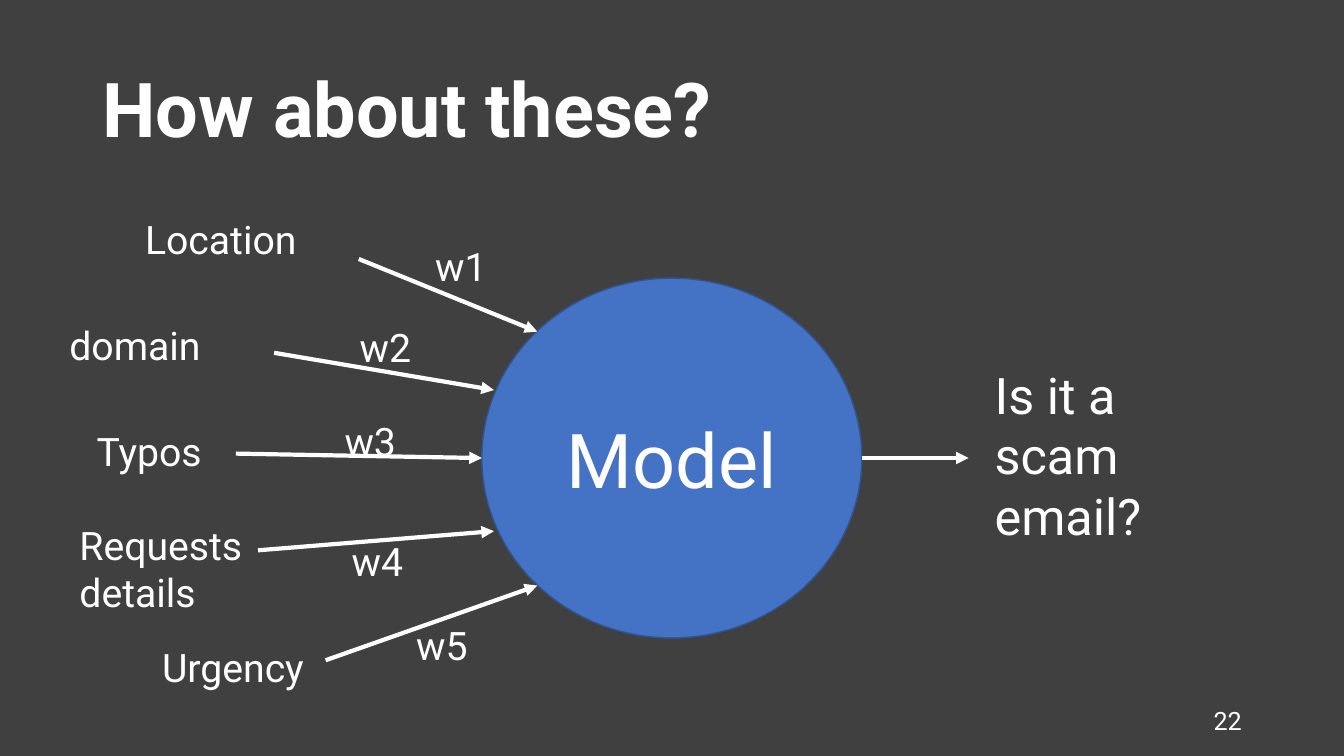
from dataclasses import dataclass

from lxml.etree import SubElement
from pptx import Presentation
from pptx.dml.color import RGBColor
from pptx.enum.shapes import MSO_CONNECTOR, MSO_SHAPE
from pptx.enum.text import MSO_ANCHOR, MSO_AUTO_SIZE, PP_ALIGN
from pptx.oxml.ns import qn
from pptx.util import Pt


@dataclass(frozen=True)
class Theme:
    font: str = "Roboto"
    background: RGBColor = RGBColor(0x40, 0x40, 0x40)
    ink: RGBColor = RGBColor(0xFF, 0xFF, 0xFF)
    model_fill: RGBColor = RGBColor(0x44, 0x72, 0xC4)
    model_line: RGBColor = RGBColor(0x32, 0x54, 0x91)
    heading: int = 54
    answer: int = 36
    label: int = 28
    footer: int = 18
    arrow_width: int = 3


theme = Theme()

TITLE = ("How about these?", (66.2, 28.8, 666.7, 104.4))
PAGE_NUMBER = ("22", (678.2, 500.4, 216, 28.8))
MODEL = ("Model", (344.2, 198.7, 271.4, 257))
ANSWER = ("Is it a scam email?", (703.4, 256.3, 146.9, 138.2))
LABEL_HEIGHT = 41
WEIGHT_WIDTH = 61.2
ARROW_OUT = 76.3

FEATURES = [
    {"name": "Location", "box": (96.5, 150.5, 172.1, LABEL_HEIGHT),
     "arrow": ((256.3, 185), (383.8, 236.9)), "weight_at": (303.8, 169.2)},
    {"name": "domain", "box": (42.5, 226.1, 172.1, LABEL_HEIGHT),
     "arrow": ((195.8, 252), (352.8, 278.6)), "weight_at": (249.8, 227.5)},
    {"name": "Typos", "box": (61.9, 301.7, 172.1, LABEL_HEIGHT),
     "arrow": ((168.5, 324), (344.2, 327.2)), "weight_at": (239, 294.5)},
    {"name": "Requests details", "box": (49.7, 368.6, 172.1, 74.9),
     "arrow": ((184.3, 393.1), (352.8, 379.4)), "weight_at": (244.1, 380.2)},
    {"name": "Urgency", "box": (108.7, 455.8, 126, LABEL_HEIGHT),
     "arrow": ((232.6, 471.6), (383.8, 418.3)), "weight_at": (290.2, 440.6)},
]


def write(shape, text, size, bold=False, align=PP_ALIGN.LEFT,
          anchor=MSO_ANCHOR.TOP, line_spacing=None):
    frame = shape.text_frame
    frame.word_wrap = True
    frame.auto_size = MSO_AUTO_SIZE.NONE
    frame.vertical_anchor = anchor
    para = frame.paragraphs[0]
    para.alignment = align
    if line_spacing:
        para.line_spacing = line_spacing
    span = para.add_run()
    span.text = text
    span.font.name = theme.font
    span.font.size = Pt(size)
    span.font.bold = bold
    span.font.color.rgb = theme.ink


def add_text(page, text, box, size, **style):
    write(page.shapes.add_textbox(*map(Pt, box)), text, size, **style)


def add_model(page):
    text, box = MODEL
    model = page.shapes.add_shape(MSO_SHAPE.OVAL, *map(Pt, box))
    model.shadow.inherit = False
    model.fill.solid()
    model.fill.fore_color.rgb = theme.model_fill
    model.line.color.rgb = theme.model_line
    model.line.width = Pt(1)
    write(model, text, theme.heading, align=PP_ALIGN.CENTER, anchor=MSO_ANCHOR.MIDDLE)


def add_arrow(page, start, end):
    arrow = page.shapes.add_connector(MSO_CONNECTOR.STRAIGHT, *map(Pt, (*start, *end)))
    arrow.line.color.rgb = theme.ink
    arrow.line.width = Pt(theme.arrow_width)
    SubElement(arrow.line._get_or_add_ln(), qn("a:tailEnd"), type="triangle")
    SubElement(arrow._element.spPr, qn("a:effectLst"))


def main():
    deck = Presentation()
    deck.slide_width, deck.slide_height = Pt(960), Pt(540)
    page = deck.slides.add_slide(deck.slide_layouts[6])
    page.background.fill.solid()
    page.background.fill.fore_color.rgb = theme.background

    add_text(page, *TITLE, theme.heading, bold=True,
             anchor=MSO_ANCHOR.MIDDLE, line_spacing=0.9)
    add_text(page, *PAGE_NUMBER, theme.footer,
             align=PP_ALIGN.RIGHT, anchor=MSO_ANCHOR.MIDDLE)
    add_model(page)

    for feature in FEATURES:
        add_arrow(page, *feature["arrow"])
    left, top, width, height = MODEL[1]
    right, middle = left + width, top + height / 2
    add_arrow(page, (right, middle), (right + ARROW_OUT, middle))

    add_text(page, *ANSWER, theme.answer)
    for number, feature in enumerate(FEATURES, start=1):
        add_text(page, feature["name"], feature["box"], theme.label)
        weight_box = (*feature["weight_at"], WEIGHT_WIDTH, LABEL_HEIGHT)
        add_text(page, f"w{number}", weight_box, theme.label)

    deck.save("out.pptx")


if __name__ == "__main__":
    main()
